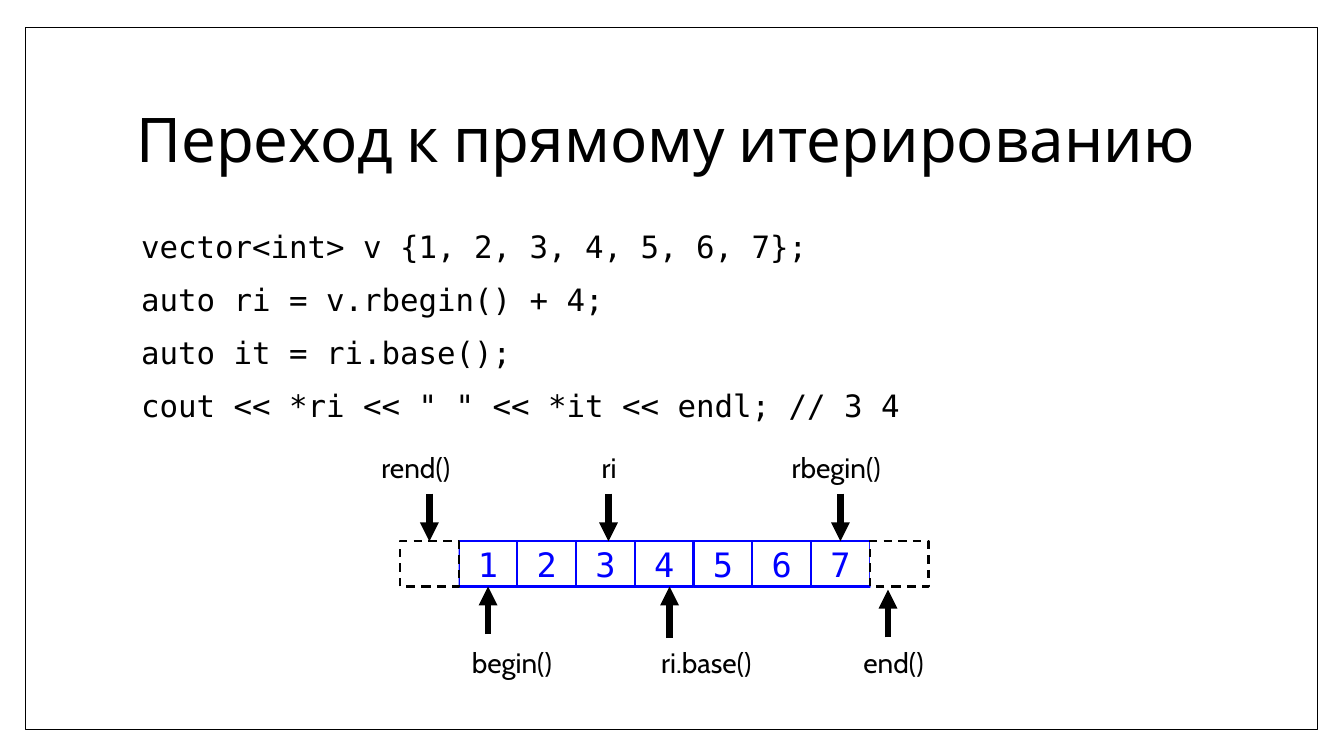
from dataclasses import dataclass

from lxml.etree import SubElement
from pptx import Presentation
from pptx.dml.color import RGBColor
from pptx.enum.dml import MSO_LINE
from pptx.enum.shapes import MSO_CONNECTOR, MSO_SHAPE
from pptx.enum.text import MSO_ANCHOR, MSO_AUTO_SIZE, PP_ALIGN
from pptx.oxml import parse_xml
from pptx.oxml.ns import nsdecls, qn
from pptx.util import Cm, Pt


@dataclass(frozen=True)
class Theme:
    black: RGBColor = RGBColor(0, 0, 0)
    white: RGBColor = RGBColor(255, 255, 255)
    blue: RGBColor = RGBColor(0, 0, 255)
    sans: str = "Cabin"
    mono: str = "DejaVu Sans Mono"
    title_size: int = 44
    code_size: int = 22
    cell_size: int = 24
    label_size: int = 20


@dataclass(frozen=True)
class Box:
    """A region in centimetres."""
    left: float
    top: float
    width: float
    height: float

    def lengths(self):
        return [Cm(value) for value in (self.left, self.top, self.width, self.height)]


@dataclass(frozen=True)
class Pointer:
    """An iterator label and its arrow; slot is counted in cells from the left."""
    label: str
    slot: float
    label_shift: float
    above: bool
    gap: float = 0
    reach: float = 1.2


THEME = Theme()
FRAME = Box(0.64, 0.69, 32.56, 17.7)
TITLE = Box(3.18, 1.7, 27.43, 3.76)
CODE = Box(3.18, 5.72, 27.43, 11.23)
VECTOR = Box(10.08, 13.64, 13.32, 1.14)
CODE_LINES = (
    "vector<int> v {1, 2, 3, 4, 5, 6, 7};",
    "auto ri = v.rbegin() + 4;",
    "auto it = ri.base();",
    'cout << *ri << " " << *it << endl; // 3 4',
)
SLOTS = ("", "1", "2", "3", "4", "5", "6", "7", "")
POINTERS = (
    Pointer("rend()", 0.5, -1.46, True),
    Pointer("ri", 3.55, -0.42, True),
    Pointer("rbegin()", 7.5, -1.48, True),
    Pointer("begin()", 1.5, -0.66, False),
    Pointer("ri.base()", 4.59, -0.46, False, reach=1.3),
    Pointer("end()", 8.31, -0.87, False, gap=0.08),
)


def apply_format(target, values):
    for name, value in values.items():
        setattr(target, name, value)


def write(para, text, font, size, color):
    span = para.add_run()
    span.text = text
    apply_format(span.font, {"name": font, "size": Pt(size)})
    span.font.color.rgb = color
    return span


def add_rectangle(slide, box, color, width, dash=None):
    shape = slide.shapes.add_shape(MSO_SHAPE.RECTANGLE, *box.lengths())
    shape.shadow.inherit = False
    shape.fill.solid()
    shape.fill.fore_color.rgb = THEME.white
    shape.line.color.rgb = color
    apply_format(shape.line, {"width": Pt(width), "dash_style": dash})
    return shape


def add_frame(slide, box):
    """Draw the slide border behind everything else."""
    frame = add_rectangle(slide, box, THEME.black, 1)
    slide.shapes._spTree.insert(2, frame._element)


def add_title(slide, box, text):
    title = slide.shapes.title
    apply_format(title, dict(zip(("left", "top", "width", "height"), box.lengths())))
    apply_format(title.text_frame, {
        "word_wrap": True, "vertical_anchor": MSO_ANCHOR.MIDDLE,
        "auto_size": MSO_AUTO_SIZE.NONE})
    para = title.text_frame.paragraphs[0]
    apply_format(para, {"alignment": PP_ALIGN.LEFT, "line_spacing": 0.9})
    write(para, text, THEME.sans, THEME.title_size, THEME.black)


def add_code(slide, box, lines):
    frame = slide.shapes.add_textbox(*box.lengths()).text_frame
    frame.word_wrap = True
    for index, line in enumerate(lines):
        para = frame.add_paragraph() if index else frame.paragraphs[0]
        apply_format(para, {"line_spacing": 0.9, "space_before": Pt(14 if index else 0)})
        para._p.get_or_add_pPr().set("marL", str(Cm(0.13)))
        write(para, line, THEME.mono, THEME.code_size, THEME.black)


def add_arrow(slide, x, start, end):
    arrow = slide.shapes.add_connector(
        MSO_CONNECTOR.STRAIGHT, Cm(x), Cm(start), Cm(x), Cm(end))
    arrow.line.color.rgb = THEME.black
    arrow.line.width = Pt(4.5)
    SubElement(arrow.line._get_or_add_ln(), qn("a:tailEnd"), type="triangle")
    SubElement(arrow._element.spPr, qn("a:effectLst"))


def add_label(slide, box, text):
    """Write an iterator name with a soft shadow under its letters."""
    frame = slide.shapes.add_textbox(*box.lengths()).text_frame
    apply_format(frame, {"word_wrap": True, "auto_size": MSO_AUTO_SIZE.SHAPE_TO_FIT_TEXT})
    span = write(frame.paragraphs[0], text, THEME.sans, THEME.label_size, THEME.black)
    shadow = parse_xml(
        f'<a:effectLst {nsdecls("a")}><a:outerShdw blurRad="38100" dist="38100" '
        'dir="5400000"><a:srgbClr val="000000"><a:alpha val="40000"/></a:srgbClr>'
        '</a:outerShdw></a:effectLst>')
    span.font._element.find(qn("a:solidFill")).addnext(shadow)


def add_vector(slide, box, slots, pointers):
    """Draw the row of cells, with dashed slots outside its range, and the iterators."""
    cell_width = box.width / len(slots)
    cells = [(Box(box.left + index * cell_width, box.top, cell_width, box.height), text)
             for index, text in enumerate(slots)]
    for cell_box, text in sorted(cells, key=lambda cell: not cell[1]):
        if not text:
            add_rectangle(slide, cell_box, THEME.black, 1.5, MSO_LINE.DASH)
            continue
        frame = add_rectangle(slide, cell_box, THEME.blue, 1.5).text_frame
        frame.vertical_anchor = MSO_ANCHOR.MIDDLE
        para = frame.paragraphs[0]
        para.alignment = PP_ALIGN.CENTER
        write(para, text, THEME.mono, THEME.cell_size, THEME.blue)
    for pointer in pointers:
        x = box.left + pointer.slot * cell_width
        edge = box.top if pointer.above else box.top + box.height
        away = -1 if pointer.above else 1
        tip = edge + away * pointer.gap
        add_arrow(slide, x, tip + away * pointer.reach, tip)
        label_top = edge - 2.41 if pointer.above else edge + 1.37
        add_label(slide, Box(x + pointer.label_shift, label_top, 3.3, 1.12), pointer.label)


def main():
    deck = Presentation()
    apply_format(deck, {"slide_width": Cm(33.87), "slide_height": Cm(19.05)})
    slide = deck.slides.add_slide(deck.slide_layouts.get_by_name("Title Only"))
    add_frame(slide, FRAME)
    add_title(slide, TITLE, "Переход к прямому итерированию")
    add_code(slide, CODE, CODE_LINES)
    add_vector(slide, VECTOR, SLOTS, POINTERS)
    deck.save("out.pptx")


if __name__ == "__main__":
    main()
